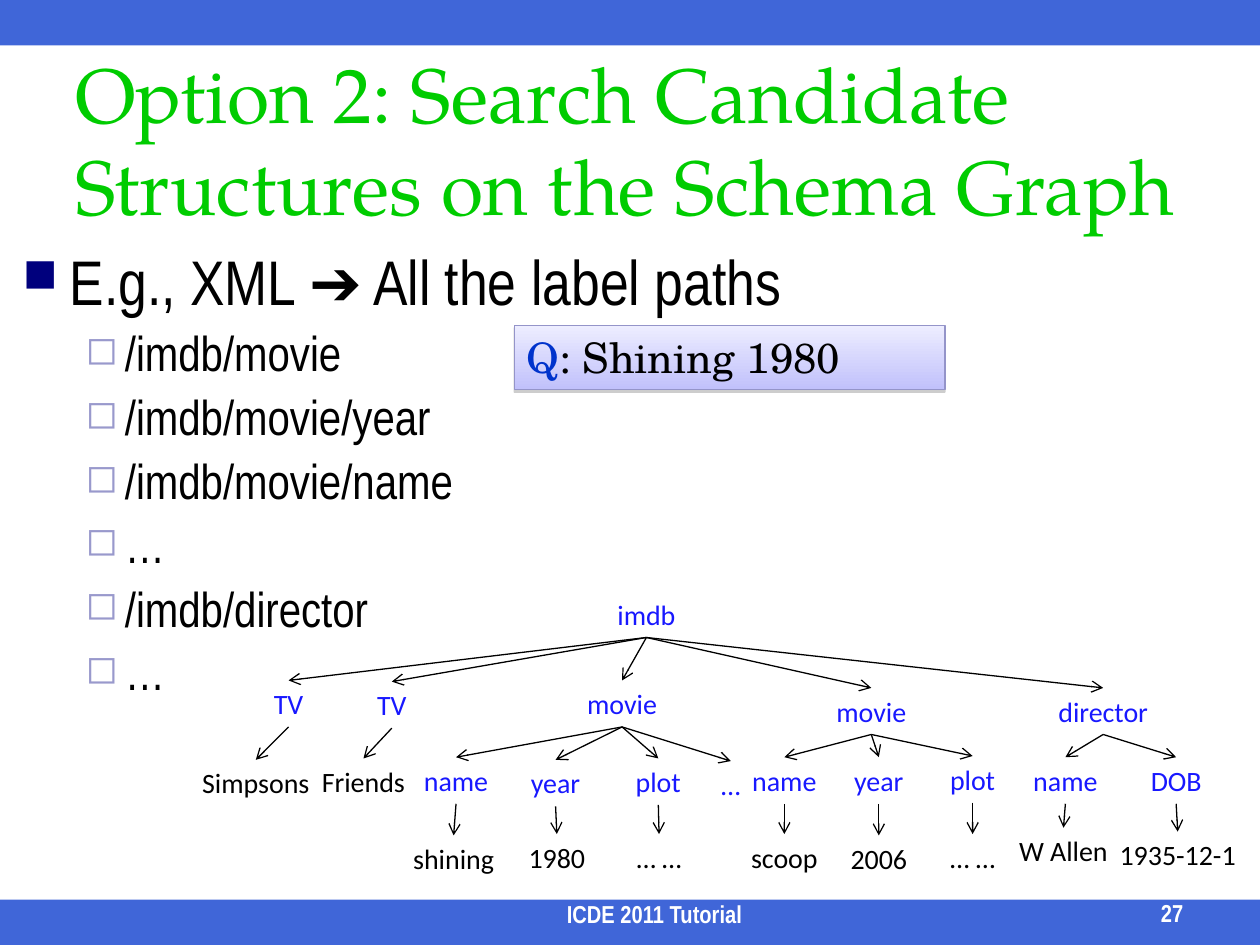
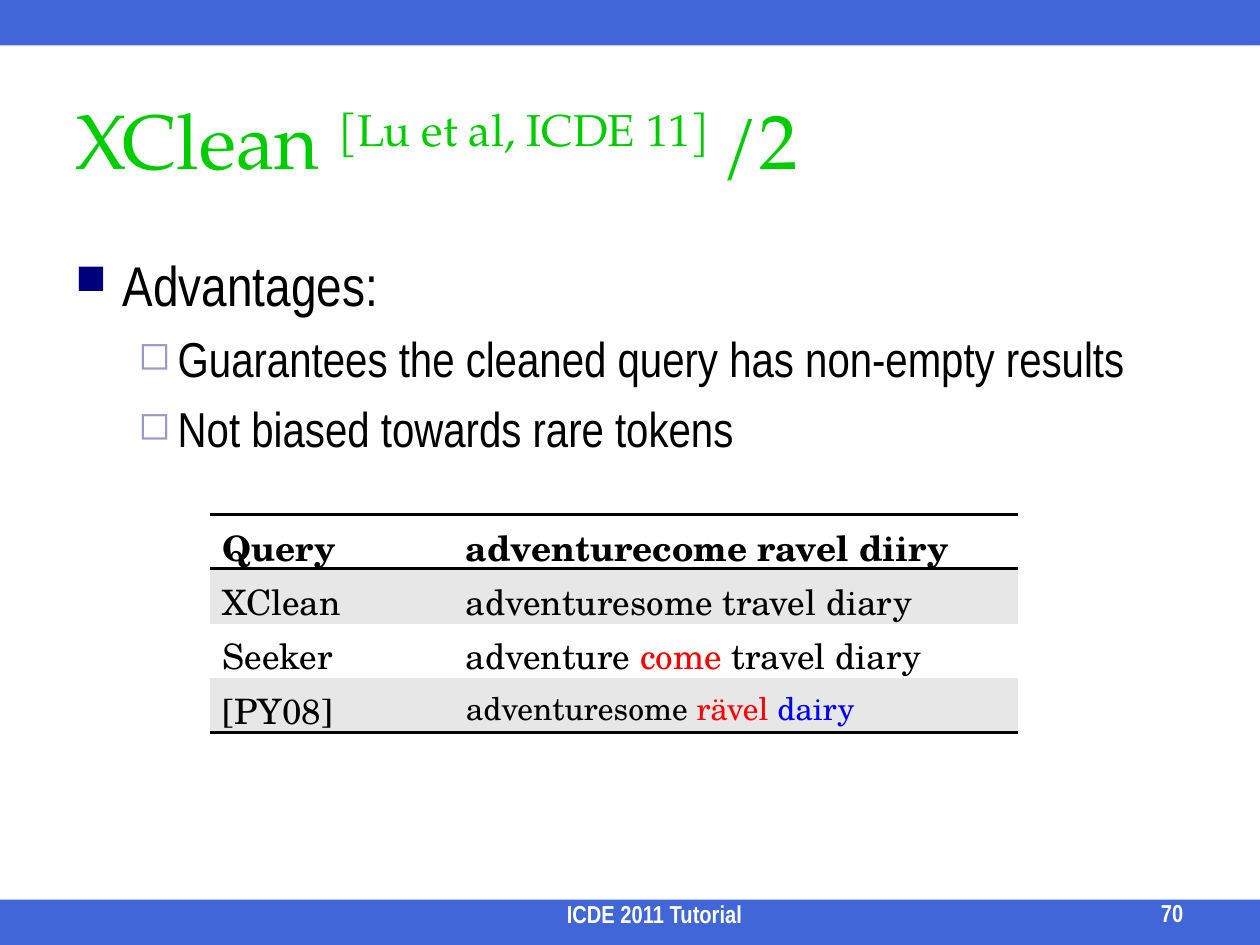
from lxml import etree
from pptx import Presentation
from pptx.dml.color import RGBColor
from pptx.enum import shapes, text
from pptx.oxml.ns import qn
from pptx.util import Pt

COLORS = {
    "band": "0033CC", "title": "00CC00", "black": "000000", "white": "FFFFFF",
    "square": "00007D", "open_square": "9999CC", "label": "1818FF",
    "box_top": "EDEDFF", "box_bottom": "C1C1FB", "box_line": "9494C9",
    "shadow": "808080", "stripe": "E7E7E7", "red": "FF0000", "blue": "0000FF",
}
TITLE_FONT, BODY_FONT = "TeX Gyre Pagella", "Arial Narrow"
SERIF_FONT, TREE_FONT = "TeX Gyre Schola", "Calibri"
WIDTH, HEIGHT, BAND = 720, 540, 26
NODE_HEIGHT = 26.6

# Bullet levels: sign, colour, size in percent, indent, hanging
BULLETS = [("■", "square", 75, 27, 27), ("◻", "open_square", 80, 58.5, 22.5)]

# Tree nodes: text, centre x, top, width, children
TREE = ("imdb", 369.4, 337.7, 53, [
    ("TV", 164.9, 388.8, 55, [("Simpsons", 146.2, 434.2, 76, [])]),
    ("TV", 223.9, 389.5, 56, [("Friends", 207.7, 433.4, 67, [])]),
    ("movie", 355.5, 388.8, 58, [
        ("name", 260.6, 432.7, 55, [("shining", 259.2, 477.4, 75, [])]),
        ("year", 317.5, 434.2, 62, [("1980", 318.2, 476.6, 59, [])]),
        ("plot", 376.2, 433.4, 66, [("… …", 376.6, 476.6, 57, [])]),
        ("…", 417.6, 434.9, 50, []),
    ]),
    ("movie", 497.9, 393.1, 63, [
        ("name", 448.2, 432.7, 57, [("scoop", 448.2, 476.6, 68, [])]),
        ("year", 502.2, 432.7, 66, [("2006", 502.2, 477.4, 63, [])]),
        ("plot", 555.8, 432, 66, [("… …", 555.8, 476.6, 63, [])]),
    ]),
    ("director", 630.4, 393.1, 71, [
        ("name", 608.8, 432.7, 55, [("W Allen", 607.7, 473, 69, [])]),
        ("DOB", 672.1, 432.7, 71, [("1935-12-1", 673, 475.2, 81, [])]),
    ]),
])

# Table cells: lists of (text, colour) runs
QUERY_ROWS = [
    [[("Query", "black")], [("adventurecome ravel diiry", "black")]],
    [[("XClean", "black")], [("adventuresome travel diary", "black")]],
    [[("Seeker", "black")],
     [("adventure ", "black"), ("come ", "red"), ("travel diary", "black")]],
    [[("[PY08]", "black")],
     [("adventuresome ", "black"), ("rävel ", "red"), ("dairy", "blue")]],
]


def rgb(name):
    return RGBColor.from_string(COLORS[name])


def sub(parent, tag, **attrs):
    return etree.SubElement(parent, qn(tag), {k: str(v) for k, v in attrs.items()})


def add_run(p, words, font, size, color, bold=False):
    r = p.add_run()
    r.text = words
    r.font.name, r.font.size, r.font.bold = font, Pt(size), bold
    r.font.color.rgb = rgb(color)
    return r


def add_box(s, x, y, w, h, anchor=text.MSO_ANCHOR.TOP, align=text.PP_ALIGN.LEFT):
    """Add a wrapping text box and return its text frame."""
    tf = s.shapes.add_textbox(Pt(x), Pt(y), Pt(w), Pt(h)).text_frame
    tf.word_wrap = True
    tf.vertical_anchor = anchor
    tf.paragraphs[0].alignment = align
    return tf


def add_band(s, y):
    sp = s.shapes.add_shape(shapes.MSO_SHAPE.RECTANGLE, 0, Pt(y), Pt(WIDTH), Pt(BAND))
    sp.shadow.inherit = False
    sp.fill.solid()
    sp.fill.fore_color.rgb = rgb("band")
    sp.line.fill.background()
    fill_color = sp._element.spPr.find(qn("a:solidFill"))[0]
    sub(fill_color, "a:alpha", val=75000)


def add_footer(s, x, y, w, words, align):
    tf = add_box(s, x, y, w, 17.3, text.MSO_ANCHOR.BOTTOM, align)
    add_run(tf.paragraphs[0], words, BODY_FONT, 14, "white", True)


def start_slide(prs, number, title_runs):
    """Add a slide with bands, footer and title; title runs are (text, raised)."""
    s = prs.slides.add_slide(prs.slide_layouts[6])
    for y in (HEIGHT - BAND, 0):
        add_band(s, y)
    tf = add_box(s, 36, 36, 648, 86.4, text.MSO_ANCHOR.MIDDLE)
    for words, raised in title_runs:
        r = add_run(tf.paragraphs[0], words, TITLE_FONT, 44, "title")
        if raised:
            r._r.get_or_add_rPr().set("baseline", "30000")
    add_footer(s, 167, 517, 414, "ICDE 2011 Tutorial", text.PP_ALIGN.CENTER)
    add_footer(s, 592.6, 516.2, 90.7, str(number), text.PP_ALIGN.RIGHT)
    return s


def add_bullets(s, x, items, sizes, spacing=1.0):
    """Add a bulleted list; items are (level, text)."""
    tf = add_box(s, x, 139.7, 648, 368.6)
    for i, (level, words) in enumerate(items):
        p = tf.add_paragraph() if i else tf.paragraphs[0]
        p.level, p.line_spacing = level, spacing
        if i:
            p.space_before = Pt(round(0.22 * sizes[level], 1))
        sign, color, percent, indent, hanging = BULLETS[level]
        pPr = p._p.get_or_add_pPr()
        pPr.set("marL", str(Pt(indent)))
        pPr.set("indent", str(-Pt(hanging)))
        sub(sub(pPr, "a:buClr"), "a:srgbClr", val=COLORS[color])
        sub(pPr, "a:buSzPct", val=percent * 1000)
        sub(pPr, "a:buChar", char=sign)
        add_run(p, words, BODY_FONT, sizes[level], "black")


def add_arrow(s, x1, y1, x2, y2):
    c = s.shapes.add_connector(shapes.MSO_CONNECTOR.STRAIGHT,
                               Pt(x1), Pt(y1), Pt(x2), Pt(y2))
    c.line.color.rgb = rgb("black")
    c.line.width = Pt(0.75)
    spPr = c._element.spPr
    sub(spPr.find(qn("a:ln")), "a:tailEnd", type="arrow")
    sub(spPr, "a:effectLst")


def add_tree(s, node):
    """Draw a node, then each child with an arrow leading to it."""
    words, x, y, w, children = node
    is_value = not children and words != "…"
    tf = add_box(s, x - w / 2, y, w, NODE_HEIGHT, align=text.PP_ALIGN.CENTER)
    add_run(tf.paragraphs[0], words, TREE_FONT, 16, "black" if is_value else "label")
    for child in children:
        add_arrow(s, x, y + NODE_HEIGHT, child[1], child[2])
        add_tree(s, child)


def add_query_box(s):
    sp = s.shapes.add_shape(shapes.MSO_SHAPE.RECTANGLE,
                            Pt(293.8), Pt(185.8), Pt(246.2), Pt(36.7))
    sp.fill.gradient()
    sp.fill.gradient_angle = 270
    for stop, color in zip(sp.fill.gradient_stops, ("box_top", "box_bottom")):
        stop.color.rgb = rgb(color)
    sp.line.color.rgb = rgb("box_line")
    sp.line.width = Pt(0.75)
    # Soft grey shadow below the box
    sp.shadow.inherit = False
    shadow = sub(sp._element.spPr.find(qn("a:effectLst")), "a:outerShdw",
                 blurRad=0, dist=Pt(1.6), dir=5400000, rotWithShape=0)
    sub(sub(shadow, "a:srgbClr", val=COLORS["shadow"]), "a:alpha", val=38000)
    tf = sp.text_frame
    tf.word_wrap = True
    tf.vertical_anchor = text.MSO_ANCHOR.TOP
    p = tf.paragraphs[0]
    p.alignment = text.PP_ALIGN.LEFT
    add_run(p, "Q", SERIF_FONT, 24, "band")
    add_run(p, ": Shining 1980", SERIF_FONT, 24, "black")


def set_borders(cell, ruled):
    """Draw black rules on the given sides and clear the others."""
    tcPr = cell._tc.get_or_add_tcPr()
    for side in "LRTB":
        ln = sub(tcPr, f"a:ln{side}", w=Pt(2))
        if side in ruled:
            sub(sub(ln, "a:solidFill"), "a:srgbClr", val=COLORS["black"])
        else:
            sub(ln, "a:noFill")


def add_query_table(s, rows):
    last = len(rows) - 1
    table = s.shapes.add_table(len(rows), 2, Pt(120), Pt(293.8),
                               Pt(462), Pt(124.4)).table
    table.first_row = table.horz_banding = False
    for column, width in zip(table.columns, (139, 323)):
        column.width = Pt(width)
    for i, row in enumerate(rows):
        ruled = {0: "TB", 1: "T", last: "B"}.get(i, "")
        for j, runs in enumerate(row):
            cell = table.cell(i, j)
            set_borders(cell, ruled)
            cell.fill.solid()
            cell.fill.fore_color.rgb = rgb("stripe" if i % 2 else "white")
            size = 18 if (i, j) == (last, 1) else 20
            for words, color in runs:
                add_run(cell.text_frame.paragraphs[0], words, SERIF_FONT,
                        size, color, i == 0)


def main():
    prs = Presentation()
    prs.slide_width, prs.slide_height = Pt(WIDTH), Pt(HEIGHT)

    # Label paths and the schema tree
    s = start_slide(prs, 27, [
        ("Option 2: Search Candidate Structures on the Schema Graph", False)])
    label_paths = ["/imdb/movie", "/imdb/movie/year", "/imdb/movie/name", "…",
                   "/imdb/director", "…"]
    add_bullets(s, 5.8, [(0, "E.g., XML ➔ All the label paths")]
                + [(1, label) for label in label_paths], (36, 28), 0.9)
    add_tree(s, TREE)
    add_query_box(s)

    # Advantages and the query comparison
    s = start_slide(prs, 70, [("XClean ", False), ("[Lu et al, ICDE 11] ", True),
                              ("/2", False)])
    add_bullets(s, 36, [
        (0, "Advantages:"),
        (1, "Guarantees the cleaned query has non-empty results"),
        (1, "Not biased towards rare tokens")], (32, 28))
    add_query_table(s, QUERY_ROWS)

    prs.save("out.pptx")


if __name__ == "__main__":
    main()
